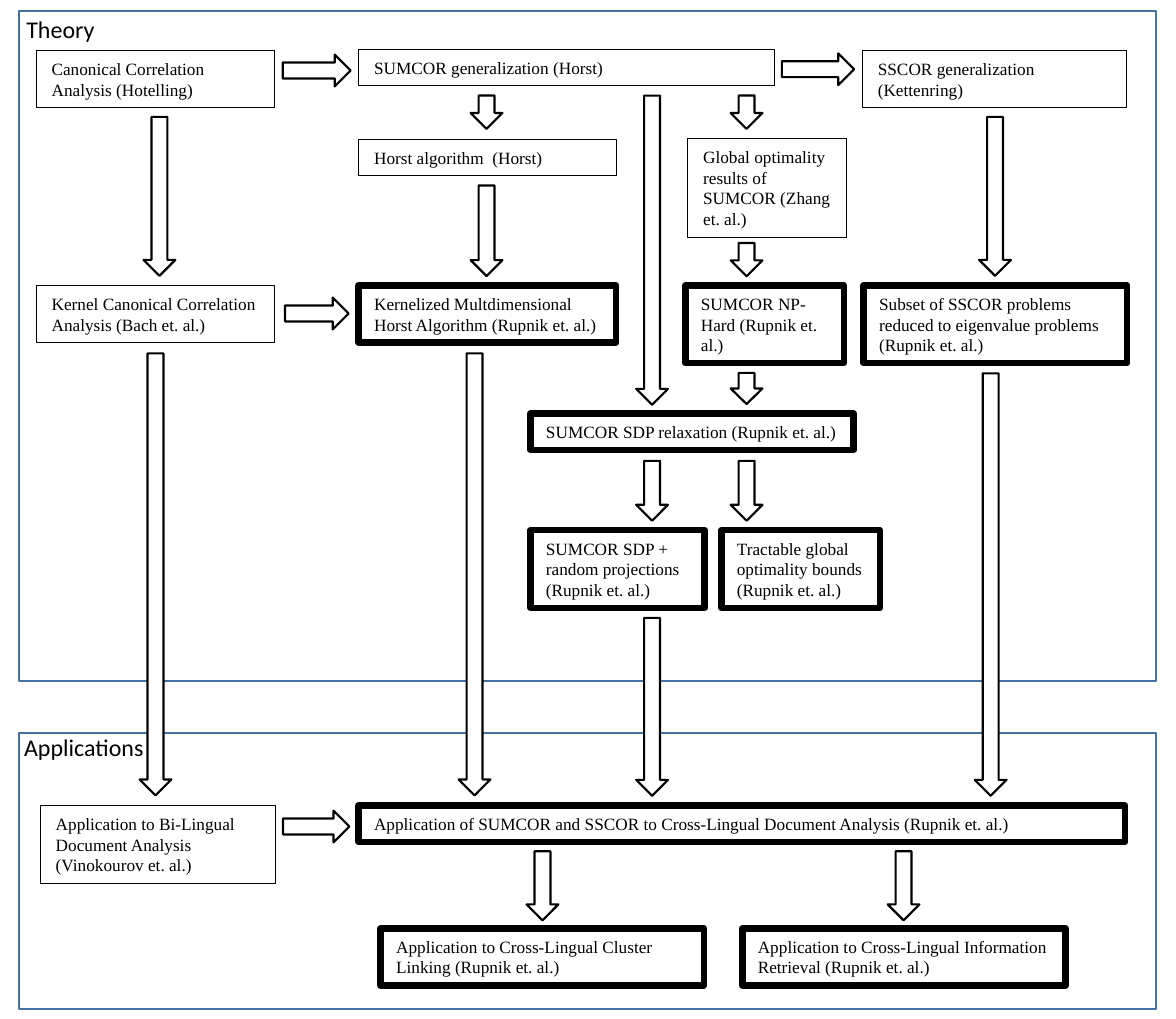
from pptx import Presentation
from pptx.dml.color import RGBColor
from pptx.enum.shapes import MSO_SHAPE
from pptx.enum.text import MSO_ANCHOR, MSO_AUTO_SIZE, PP_ALIGN
from pptx.util import Pt

COLORS = {"panel": "43739E", "ink": "000000", "paper": "FFFFFF"}
THIN, THICK = 0.25, 3
ARROW_BREADTH = 14.6

# Shared column lefts and row tops
LEFT, MIDDLE, SDP = 16.6, 164.7, 243.6
KERNEL_ROW, BOUNDS_ROW, CROSS_ROW, TASK_ROW = 131.1, 243.5, 370, 426.4

# Shared arrow axes
HORST_AXIS, SDP_AXIS, OPTIMALITY_AXIS = 223.4, 299.4, 342.8

# left, top, width, lines, border, text
BOXES = [
    (LEFT, 23.2, 109.4, 2, THIN, "Canonical Correlation Analysis (Hotelling)"),
    (LEFT, KERNEL_ROW, 109.4, 2, THIN, "Kernel Canonical Correlation Analysis (Bach et. al.)"),
    (MIDDLE, 22.7, 191, 1, THIN, "SUMCOR generalization (Horst)"),
    (396, 23.2, 121, 2, THIN, "SSCOR generalization (Kettenring)"),
    (315.8, 63.6, 72.8, 4, THIN, "Global optimality results of SUMCOR (Zhang et. al.)"),
    (396.6, KERNEL_ROW, 121, 3, THICK,
     "Subset of SSCOR problems reduced to eigenvalue problems (Rupnik et. al.)"),
    (MIDDLE, CROSS_ROW, 352, 1, THICK,
     "Application of SUMCOR and SSCOR to Cross-Lingual Document Analysis (Rupnik et. al.)"),
    (174.8, TASK_ROW, 148.4, 2, THICK,
     "Application to Cross-Lingual Cluster Linking (Rupnik et. al.)"),
    (18.5, CROSS_ROW, 107.8, 3, THIN,
     "Application to Bi-Lingual Document Analysis (Vinokourov et. al.)"),
    (MIDDLE, KERNEL_ROW, 118.3, 2, THICK,
     "Kernelized Multdimensional Horst Algorithm (Rupnik et. al.)"),
    (314.8, KERNEL_ROW, 72.8, 3, THICK, "SUMCOR NP-Hard (Rupnik et. al.)"),
    (SDP, 190, 148.4, 1, THICK, "SUMCOR SDP relaxation (Rupnik et. al.)"),
    (331.3, BOUNDS_ROW, 72.8, 3, THICK, "Tractable global optimality bounds (Rupnik et. al.)"),
    (SDP, BOUNDS_ROW, 80, 3, THICK, "SUMCOR SDP + random projections (Rupnik et. al.)"),
    (MIDDLE, 64, 118.3, 1, THIN, "Horst algorithm  (Horst)"),
    (340.9, TASK_ROW, 148.4, 2, THICK,
     "Application to Cross-Lingual Information Retrieval (Rupnik et. al.)"),
]

# left, middle, length
RIGHT_ARROWS = [
    (129.8, 32.4, 31.2), (359, 31.8, 33.2), (130.9, 144, 29.2), (130, 379.6, 30.5),
]

# axis, top, length
DOWN_ARROWS = [
    (73.2, 53.7, 73), (71.4, 162.3, 203),
    (HORST_AXIS, 43.9, 15.3), (HORST_AXIS, 85.2, 41.6), (217.9, 162.3, 203),
    (SDP_AXIS, 43.9, 142), (SDP_AXIS, 211.7, 27.5), (SDP_AXIS, 283.8, 81.7),
    (OPTIMALITY_AXIS, 43.9, 15.3), (OPTIMALITY_AXIS, 111.6, 15.3),
    (OPTIMALITY_AXIS, 171.3, 14.3), (OPTIMALITY_AXIS, 211.7, 27.5),
    (456.9, 53.7, 73), (454.9, 171.5, 194),
    (249.1, 391, 31.7), (414.9, 391, 31.7),
]


class Diagram:
    """Holds the style and the current slide."""

    def __init__(self, slide):
        self.slide = slide

    def color(self, name):
        return RGBColor.from_string(COLORS[name])

    def outline(self, kind, left, top, width, height, border, line="ink", fill="paper"):
        shape = self.slide.shapes.add_shape(kind, Pt(left), Pt(top), Pt(width), Pt(height))
        shape.shadow.inherit = False
        if fill:
            shape.fill.solid()
            shape.fill.fore_color.rgb = self.color(fill)
        else:
            shape.fill.background()
        shape.line.color.rgb = self.color(line)
        shape.line.width = Pt(border)
        return shape

    def set_text(self, shape, text, font_name, size):
        frame = shape.text_frame
        frame.word_wrap = True
        frame.auto_size = MSO_AUTO_SIZE.SHAPE_TO_FIT_TEXT
        frame.vertical_anchor = MSO_ANCHOR.TOP
        paragraph = frame.paragraphs[0]
        paragraph.text = text
        paragraph.alignment = PP_ALIGN.LEFT
        paragraph.font.name = font_name
        paragraph.font.size = Pt(size)
        paragraph.font.color.rgb = self.color("ink")

    def panel(self, top, height):
        self.outline(MSO_SHAPE.RECTANGLE, 8.7, top, 522, height, 1, "panel", None)

    def box(self, left, top, width, lines, border, text):
        height = 7.2 + 9.5 * lines
        shape = self.outline(MSO_SHAPE.RECTANGLE, left, top, width, height, border)
        self.set_text(shape, text, "Times New Roman", 7.9)

    def right_arrow(self, left, middle, length):
        return self.outline(MSO_SHAPE.RIGHT_ARROW, left, middle - ARROW_BREADTH / 2,
                            length, ARROW_BREADTH, 1)

    def down_arrow(self, axis, top, length):
        arrow = self.right_arrow(axis - length / 2, top + length / 2, length)
        arrow.rotation = 90

    def label(self, left, top, width, text):
        shape = self.slide.shapes.add_textbox(Pt(left), Pt(top), Pt(width), Pt(20.8))
        self.set_text(shape, text, "Calibri", 11)


def main():
    presentation = Presentation()
    presentation.slide_width, presentation.slide_height = Pt(540), Pt(468)
    diagram = Diagram(presentation.slides.add_slide(presentation.slide_layouts[6]))

    # Panels for theory and applications
    diagram.panel(5.2, 307.6)
    diagram.panel(336.7, 126.7)

    # Results, with thick borders for the authors' own
    for box in BOXES:
        diagram.box(*box)

    # Arrows between results
    for arrow in RIGHT_ARROWS:
        diagram.right_arrow(*arrow)
    for arrow in DOWN_ARROWS:
        diagram.down_arrow(*arrow)

    # Panel titles
    diagram.label(5, 3.2, 68, "Theory")
    diagram.label(4, 333, 77, "Applications")

    presentation.save("out.pptx")


if __name__ == "__main__":
    main()
